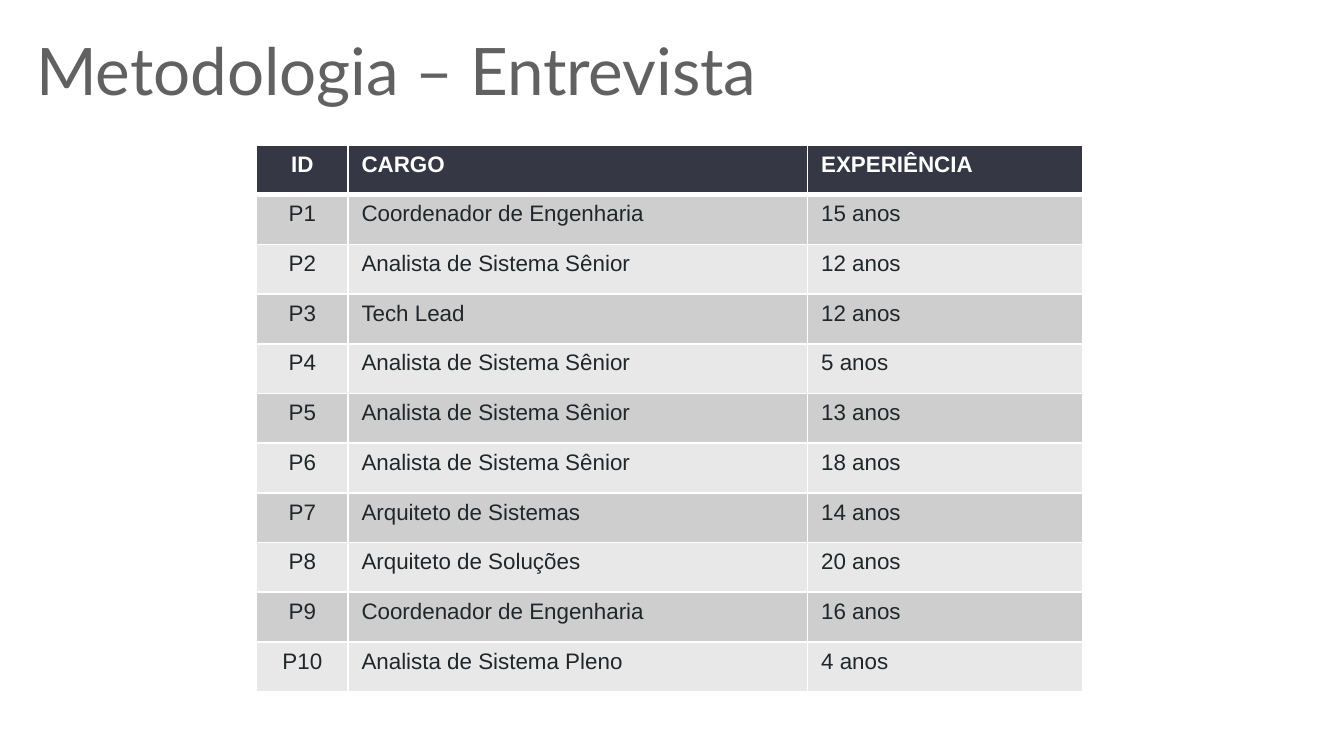
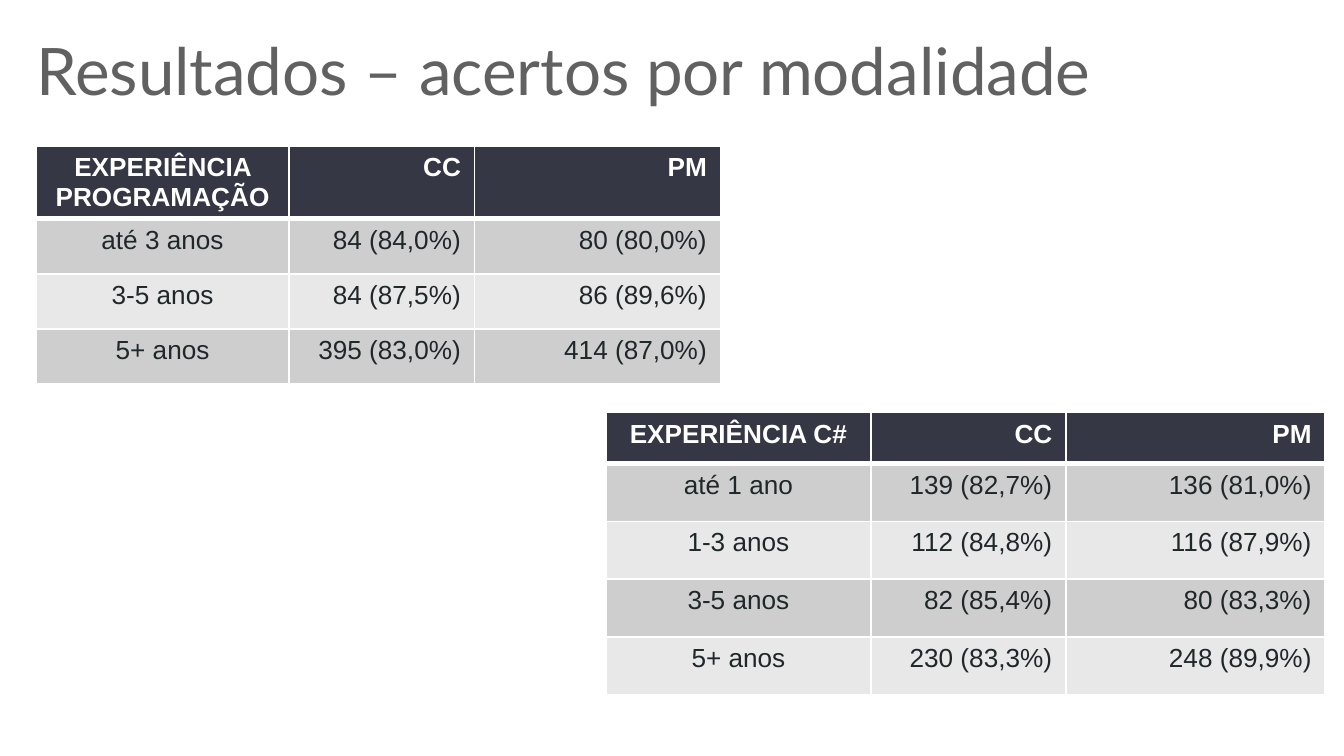
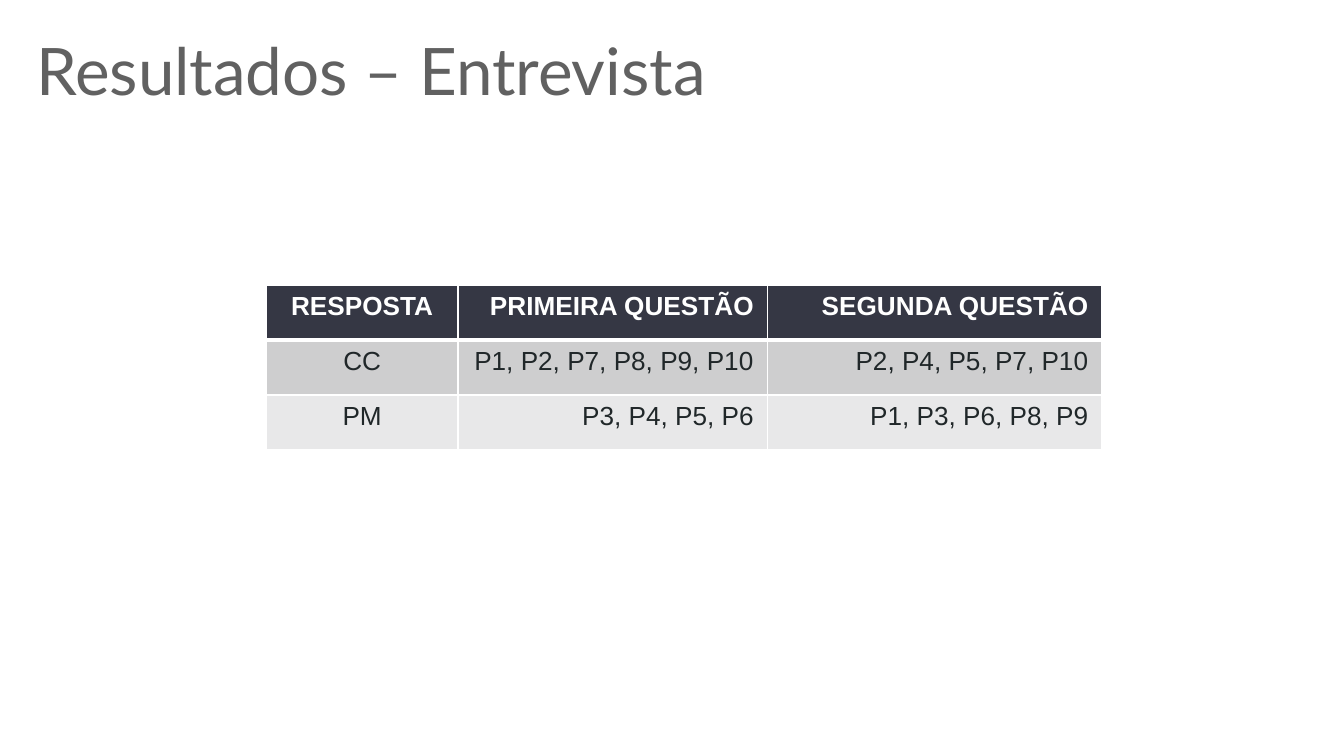
from dataclasses import dataclass

from lxml import etree
from pptx import Presentation
from pptx.dml.color import RGBColor
from pptx.enum import text
from pptx.oxml import ns
from pptx.util import Inches, Pt

SLIDE_WIDTH = Inches(10)
SLIDE_HEIGHT = SLIDE_WIDTH * 9 // 16
TITLE_COLOR = "616161"
HEADER_FILL = "353744"
HEADER_TEXT = "FFFFFF"
BODY_TEXT = "202729"
BAND_FILLS = ("CECECF", "E8E8E9")
BORDER = "FFFFFF"
THIN, THICK = 1, 3
LEFT, CENTER, RIGHT = text.PP_ALIGN.LEFT, text.PP_ALIGN.CENTER, text.PP_ALIGN.RIGHT


@dataclass
class TableBlock:
    left: float
    top: float
    col_widths: list[float]
    header_height: float
    row_height: float
    rows: list[tuple[str, ...]]
    size: int = 14
    value_align: text.PP_ALIGN = RIGHT


@dataclass
class TableSlide:
    title: str
    tables: list[TableBlock]


SLIDES = [
    TableSlide("Metodologia – Entrevista", [
        TableBlock(1.91, 1.08, [0.68, 3.42, 2.05], 0.37, 0.37, [
            ("ID", "CARGO", "EXPERIÊNCIA"),
            ("P1", "Coordenador de Engenharia", "15 anos"),
            ("P2", "Analista de Sistema Sênior", "12 anos"),
            ("P3", "Tech Lead", "12 anos"),
            ("P4", "Analista de Sistema Sênior", "5 anos"),
            ("P5", "Analista de Sistema Sênior", "13 anos"),
            ("P6", "Analista de Sistema Sênior", "18 anos"),
            ("P7", "Arquiteto de Sistemas", "14 anos"),
            ("P8", "Arquiteto de Soluções", "20 anos"),
            ("P9", "Coordenador de Engenharia", "16 anos"),
            ("P10", "Analista de Sistema Pleno", "4 anos"),
        ], size=12, value_align=LEFT),
    ]),
    TableSlide("Resultados – acertos por modalidade", [
        TableBlock(0.27, 1.09, [1.88, 1.38, 1.83], 0.53, 0.41, [
            ("EXPERIÊNCIA PROGRAMAÇÃO", "CC", "PM"),
            ("até 3 anos", "84 (84,0%)", "80 (80,0%)"),
            ("3-5 anos", "84 (87,5%)", "86 (89,6%)"),
            ("5+ anos", "395 (83,0%)", "414 (87,0%)"),
        ]),
        TableBlock(4.51, 3.07, [1.97, 1.45, 1.93], 0.38, 0.43, [
            ("EXPERIÊNCIA C#", "CC", "PM"),
            ("até 1 ano", "139 (82,7%)", "136 (81,0%)"),
            ("1-3 anos", "112 (84,8%)", "116 (87,9%)"),
            ("3-5 anos", "82 (85,4%)", "80 (83,3%)"),
            ("5+ anos", "230 (83,3%)", "248 (89,9%)"),
        ]),
    ]),
    TableSlide("Resultados – Entrevista", [
        TableBlock(1.98, 2.12, [1.43, 2.3, 2.49], 0.41, 0.41, [
            ("RESPOSTA", "PRIMEIRA QUESTÃO", "SEGUNDA QUESTÃO"),
            ("CC", "P1, P2, P7, P8, P9, P10", "P2, P4, P5, P7, P10"),
            ("PM", "P3, P4, P5, P6", "P1, P3, P6, P8, P9"),
        ]),
    ]),
]


def rgb(color: str) -> RGBColor:
    return RGBColor.from_string(color)


def set_attrs(obj, values: dict) -> None:
    for name, value in values.items():
        setattr(obj, name, value)


def write(tf, content: str, align, font: dict, color: str) -> None:
    """Put one formatted run into a text frame."""
    p = tf.paragraphs[0]
    p.alignment = align
    r = p.add_run()
    r.text = content
    set_attrs(r.font, font)
    r.font.color.rgb = rgb(color)


def set_borders(cell, widths: dict[str, int]) -> None:
    """Draw the cell edges; widths maps L, R, T, B to points."""
    tc_pr = cell._tc.get_or_add_tcPr()
    for i, (side, width) in enumerate(widths.items()):
        ln = etree.Element(ns.qn(f"a:ln{side}"), w=str(Pt(width)))
        fill = etree.SubElement(ln, ns.qn("a:solidFill"))
        etree.SubElement(fill, ns.qn("a:srgbClr"), val=BORDER)
        tc_pr.insert(i, ln)


def add_title(slide, title: str) -> None:
    sp = slide.shapes.title
    set_attrs(sp, {"left": Inches(0.27), "top": Inches(0.22),
                   "width": Inches(9.25), "height": Inches(0.49)})
    tf = sp.text_frame
    margins = dict.fromkeys(
        ("margin_left", "margin_top", "margin_right", "margin_bottom"), 0)
    set_attrs(tf, {**margins, "word_wrap": True,
                   "auto_size": text.MSO_AUTO_SIZE.NONE,
                   "vertical_anchor": text.MSO_ANCHOR.TOP})
    write(tf, title, LEFT, {"name": "Lato", "size": Pt(35.1)}, TITLE_COLOR)


def add_table(slide, block: TableBlock) -> None:
    heights = [block.header_height] + [block.row_height] * (len(block.rows) - 1)
    table = slide.shapes.add_table(
        len(heights), len(block.col_widths), Inches(block.left), Inches(block.top),
        Inches(sum(block.col_widths)), Inches(sum(heights))).table
    table.horz_banding = False
    for col, width in zip(table.columns, block.col_widths):
        col.width = Inches(width)
    for i, (row, height) in enumerate(zip(table.rows, heights)):
        row.height = Inches(height)
        header = i == 0
        fill = HEADER_FILL if header else BAND_FILLS[(i - 1) % 2]
        color = HEADER_TEXT if header else BODY_TEXT
        font = {"name": "Arial", "size": Pt(block.size), "bold": header}
        borders = {"L": THIN, "R": THIN, "T": THICK if i == 1 else THIN,
                   "B": THICK if header else THIN}
        for j, (cell, content) in enumerate(zip(row.cells, block.rows[i])):
            cell.fill.solid()
            cell.fill.fore_color.rgb = rgb(fill)
            align = CENTER if j == 0 else block.value_align
            write(cell.text_frame, content, align, font, color)
            set_borders(cell, borders)


def main() -> None:
    prs = Presentation()
    prs.slide_width, prs.slide_height = SLIDE_WIDTH, SLIDE_HEIGHT
    title_only = prs.slide_layouts[5]
    for content in SLIDES:
        slide = prs.slides.add_slide(title_only)
        add_title(slide, content.title)
        for block in content.tables:
            add_table(slide, block)
    prs.save("out.pptx")


if __name__ == "__main__":
    main()
